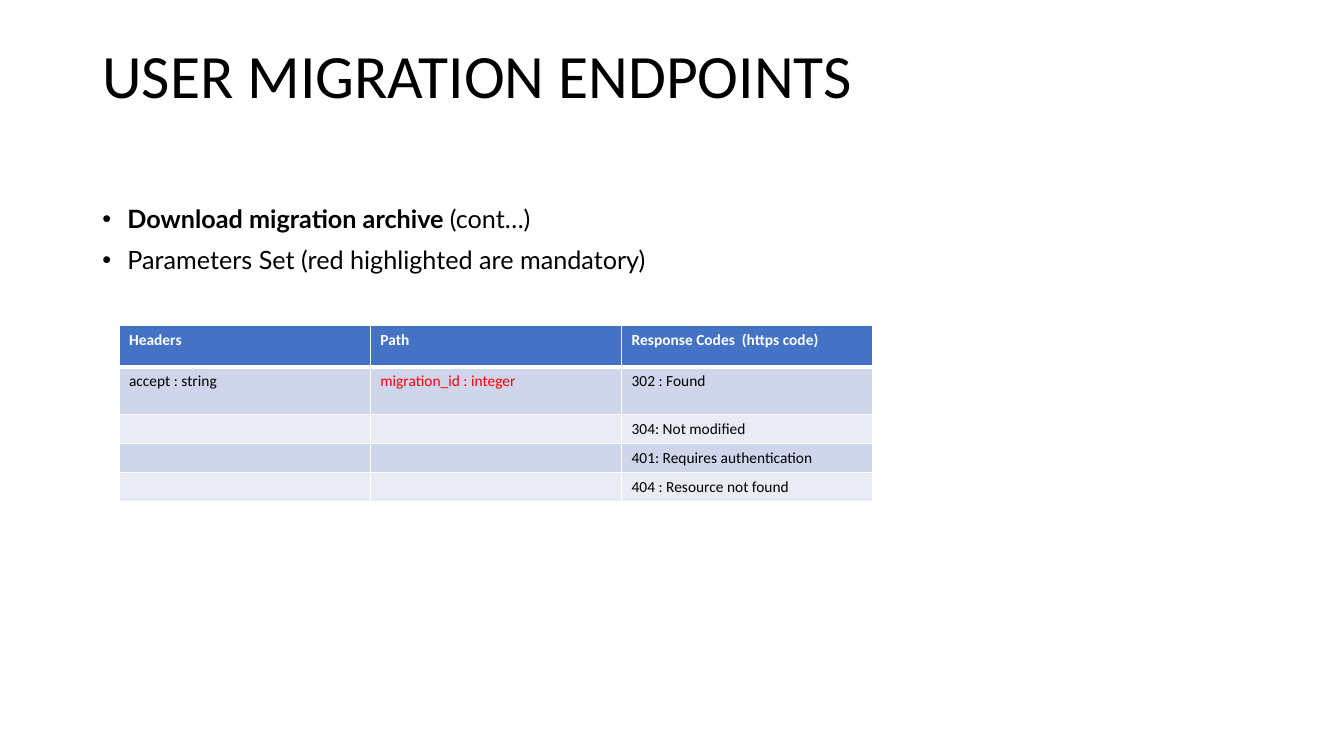
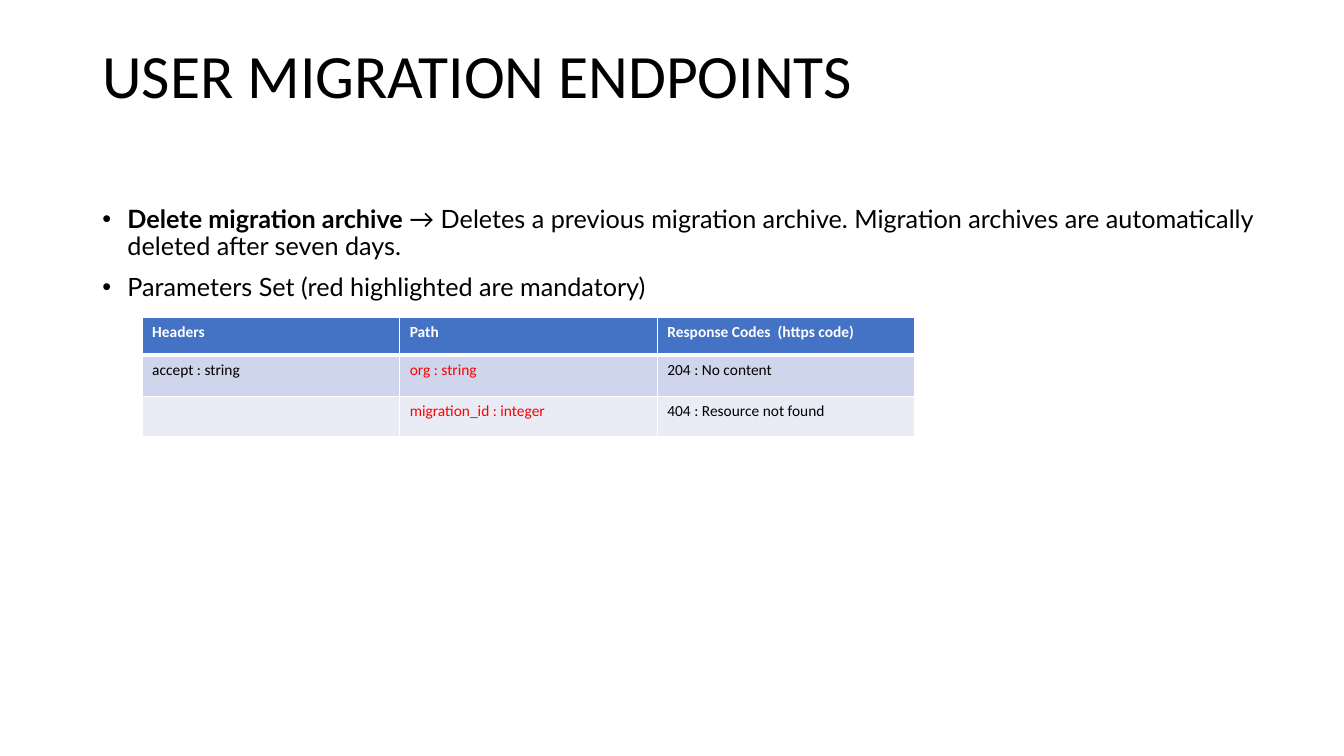
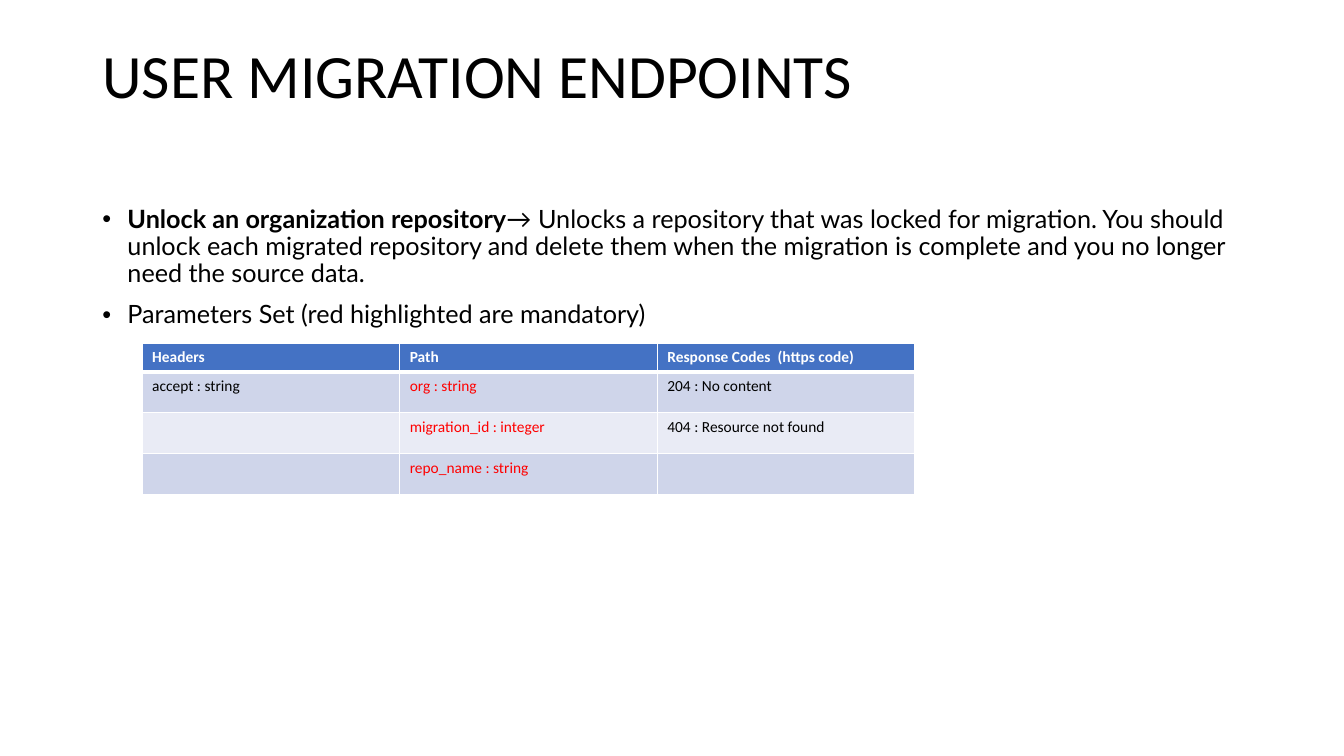
from dataclasses import dataclass

from lxml.etree import SubElement
from pptx import Presentation
from pptx.dml.color import RGBColor as Rgb
from pptx.enum.text import MSO_ANCHOR as Anchor
from pptx.oxml.ns import qn
from pptx.util import Pt


@dataclass(frozen=True)
class Theme:
    """Colours, fonts and type sizes shared by all slides."""
    ink: str = "000000"
    white: str = "FFFFFF"
    mandatory: str = "FF0000"
    header: str = "4472C4"
    bands: tuple = ("CFD5EA", "E9EBF5")
    title_font: str = "Calibri"
    body_font: str = "Lato"
    title_size: float = 44
    body_size: float = 18
    cell_size: float = 11


THEME = Theme()
TITLE = "USER MIGRATION ENDPOINTS"
PARAMETERS = "Parameters Set (red highlighted are mandatory)"
COLUMNS = ("Headers", "Path", "Response Codes  (https code)")
PATH_COLUMN = COLUMNS.index("Path")

ENDPOINTS = [
    dict(
        name="Download migration archive ",
        summary="(cont…)",
        left=85, top=232.6, column_width=179.5,
        row_heights=(29.5, 34, 20.7, 20.7, 20.7),
        rows=[
            ("accept : string", "migration_id : integer", "302 : Found"),
            ("", "", "304: Not modified"),
            ("", "", "401: Requires authentication"),
            ("", "", "404 : Resource not found"),
        ],
    ),
    dict(
        name="Delete migration archive ",
        summary="→ Deletes a previous migration archive. Migration archives "
                "are automatically deleted after seven days.",
        left=101.5, top=226.8, column_width=184,
        row_heights=(27, 29.2, 29.2),
        rows=[
            ("accept : string", "org : string", "204 : No content"),
            ("", "migration_id : integer", "404 : Resource not found"),
        ],
    ),
    dict(
        name="Unlock an organization repository",
        summary="→ Unlocks a repository that was locked for migration. You "
                "should unlock each migrated repository and delete them when "
                "the migration is complete and you no longer need the source "
                "data.",
        left=101.5, top=245, column_width=184,
        row_heights=(20.7, 29.2, 29.2, 29.2),
        rows=[
            ("accept : string", "org : string", "204 : No content"),
            ("", "migration_id : integer", "404 : Resource not found"),
            ("", "repo_name : string", ""),
        ],
    ),
]


def style(paragraph, font_name, size, color, bold=None):
    """Set the font of a whole paragraph."""
    font = paragraph.font
    font.name, font.size, font.bold = font_name, Pt(size), bold
    font.color.rgb = Rgb.from_string(color)


def add_border(cell, side, width):
    """Add a white line along one side (L, R, T or B) of a cell."""
    line = SubElement(cell._tc.get_or_add_tcPr(), qn(f"a:ln{side}"), w=str(Pt(width)))
    fill = SubElement(line, qn("a:solidFill"))
    SubElement(fill, qn("a:srgbClr"), val=THEME.white)


prs = Presentation()
prs.slide_width, prs.slide_height = Pt(960), Pt(540)

for endpoint in ENDPOINTS:
    slide = prs.slides.add_slide(prs.slide_layouts[6])

    title = slide.shapes.add_textbox(Pt(66), Pt(28.8), Pt(828), Pt(104.4)).text_frame
    title.word_wrap = True
    title.vertical_anchor = Anchor.TOP
    heading = title.paragraphs[0]
    heading.text = TITLE
    heading.line_spacing = 0.9
    style(heading, THEME.title_font, THEME.title_size, THEME.ink)

    body = slide.shapes.add_textbox(Pt(66), Pt(144), Pt(845.3), Pt(391.7)).text_frame
    body.word_wrap = True
    description, parameters = body.paragraphs[0], body.add_paragraph()
    name = description.add_run()
    name.text = endpoint["name"]
    name.font.bold = True
    description.add_run().text = endpoint["summary"]
    parameters.text = PARAMETERS
    for bullet in (description, parameters):
        bullet.line_spacing = 0.9
        bullet.space_before = Pt(10)
        style(bullet, THEME.body_font, THEME.body_size, THEME.ink)
        props = bullet._p.get_or_add_pPr()
        props.set("marL", str(Pt(18)))
        props.set("indent", str(Pt(-18)))
        marker_font = props.makeelement(qn("a:buFont"), typeface="Arial")
        marker = props.makeelement(qn("a:buChar"), char="•")
        defaults = props.find(qn("a:defRPr"))
        defaults.addprevious(marker_font)
        defaults.addprevious(marker)

    rows, heights = [COLUMNS, *endpoint["rows"]], endpoint["row_heights"]
    width = endpoint["column_width"]
    codes = slide.shapes.add_table(
        len(rows), len(COLUMNS), Pt(endpoint["left"]), Pt(endpoint["top"]),
        Pt(width * len(COLUMNS)), Pt(sum(heights))).table
    for column in codes.columns:
        column.width = Pt(width)
    for r, (values, height) in enumerate(zip(rows, heights)):
        codes.rows[r].height = Pt(height)
        is_header = r == 0
        for c, value in enumerate(values):
            cell = codes.cell(r, c)
            add_border(cell, "L", 1)
            add_border(cell, "R", 1)
            add_border(cell, "T", 3 if r == 1 else 1)
            add_border(cell, "B", 3 if is_header else 1)
            cell.fill.solid()
            cell.fill.fore_color.rgb = Rgb.from_string(
                THEME.header if is_header else THEME.bands[(r - 1) % 2])
            entry = cell.text_frame.paragraphs[0]
            if is_header:
                color = THEME.white
            else:
                color = THEME.mandatory if c == PATH_COLUMN else THEME.ink
            style(entry, THEME.title_font, THEME.cell_size, color, is_header)
            if value:
                entry.text = value
            else:
                SubElement(entry._p, qn("a:endParaRPr"), sz=str(THEME.cell_size * 100))

prs.save("out.pptx")
